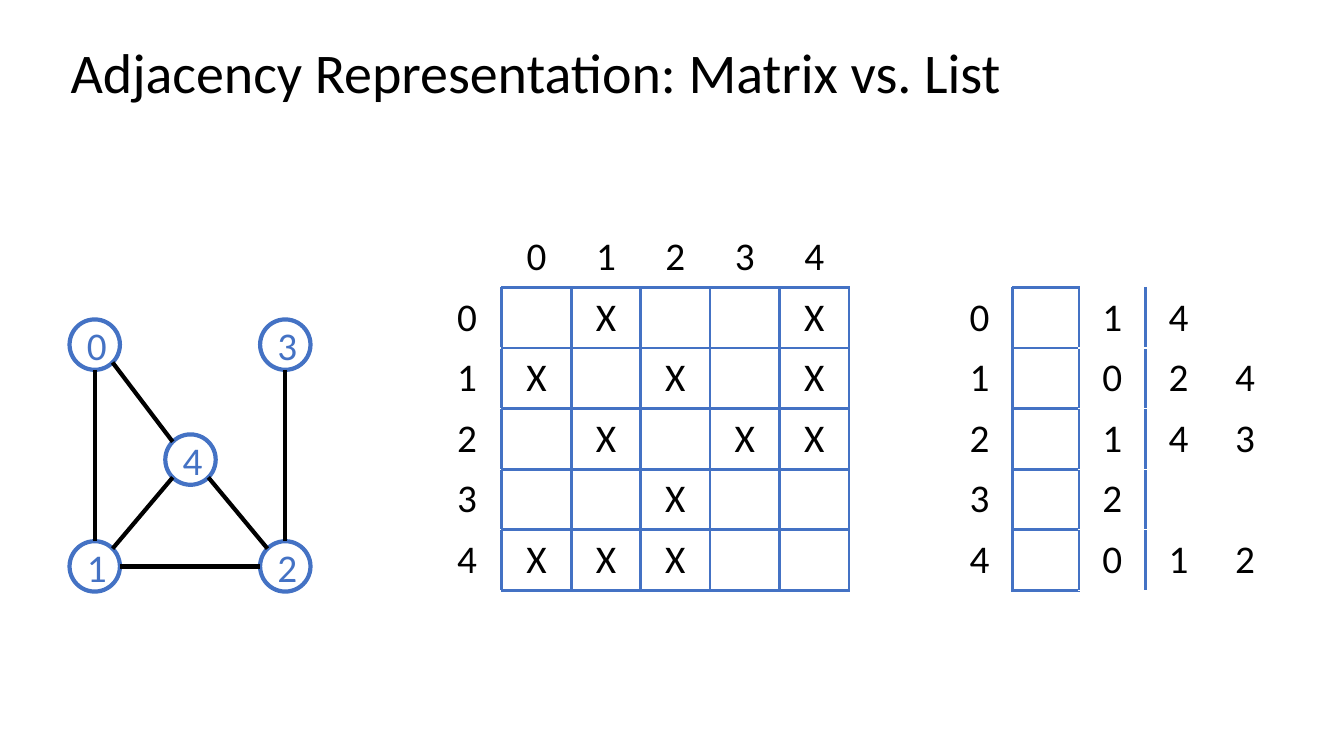
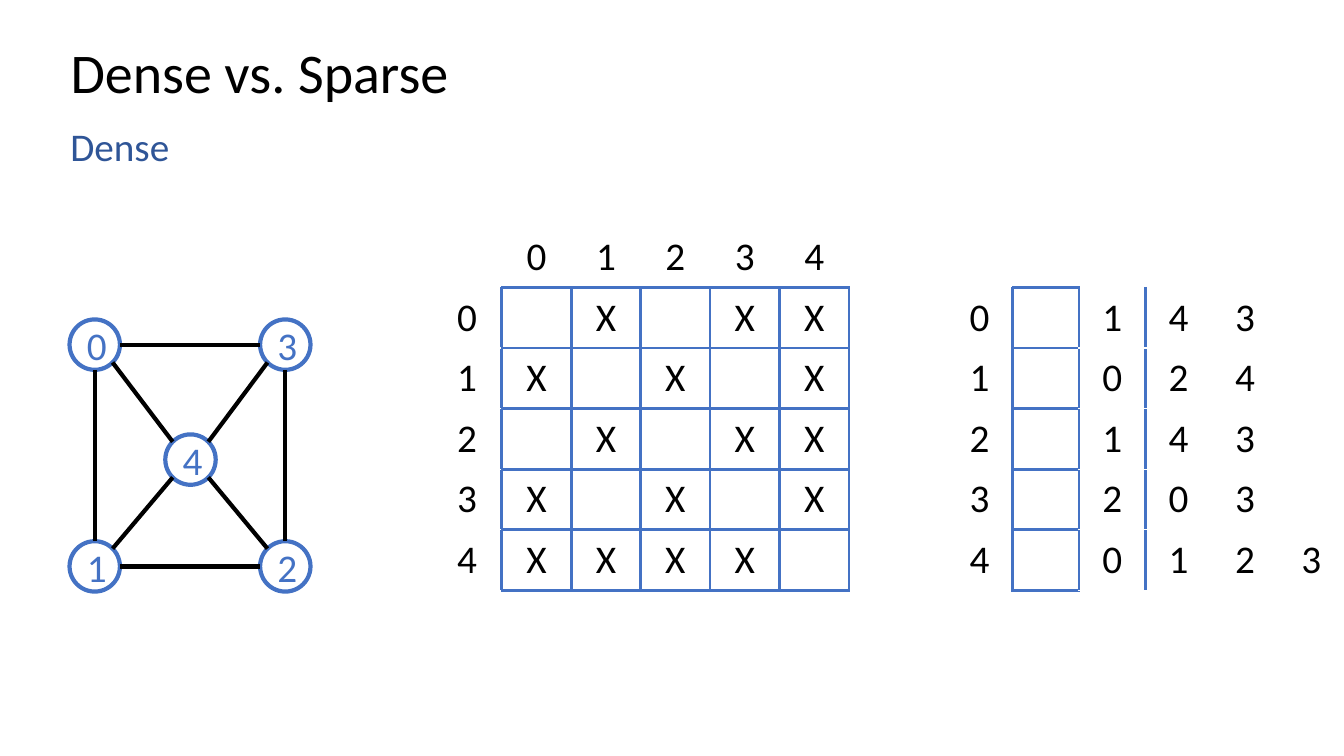
import math

from lxml import etree
from pptx import Presentation
from pptx import util as u
from pptx.dml import color
from pptx.enum import shapes, text
from pptx.oxml import ns

Pt = u.Pt
COLORS = {"ink": "000000", "paper": "FFFFFF", "blue": "4472C4", "navy": "2F5597"}
NODE_SIZE = 36
NODE_CENTERS = {
    0: (67.7, 246.2),
    3: (203.8, 246.2),
    4: (136.1, 328.3),
    1: (67.7, 404.6),
    2: (203.8, 404.6),
}
GRID_TOP, ROW_HEIGHT = 162, 43.3
MATRIX_LEFT, MATRIX_COLUMN = 308.9, 49.6
LIST_LEFT, LIST_COLUMN = 676, 47.4
SIDES = {"lnL": (0, -1), "lnR": (0, 1), "lnT": (-1, 0), "lnB": (1, 0)}

SPARSE_EDGES = [(0, 4), (0, 1), (1, 4), (2, 4), (1, 2), (3, 2)]
DENSE_EDGES = SPARSE_EDGES + [(0, 3), (3, 4)]
SPARSE_LISTS = ["14", "024", "143", "2", "012"]
DENSE_LISTS = ["143", "024", "143", "203", "0123"]


def sign(value):
    return (value > 0) - (value < 0)


class Deck:
    font = "Calibri"

    def __init__(self):
        self.prs = Presentation()
        self.prs.slide_width, self.prs.slide_height = Pt(960), Pt(540)
        self.slide = None

    def rgb(self, name):
        return color.RGBColor.from_string(COLORS[name])

    def add_words(self, frame, words, size=28, ink="ink", align=text.PP_ALIGN.CENTER, spacing=None):
        paragraph = frame.paragraphs[0]
        paragraph.alignment = align
        if spacing:
            paragraph.line_spacing = spacing
        run = paragraph.add_run()
        run.text = words
        run.font.name, run.font.size = self.font, Pt(size)
        run.font.color.rgb = self.rgb(ink)

    def new_slide(self, words):
        self.slide = self.prs.slides.add_slide(self.prs.slide_layouts[5])
        title = self.slide.shapes.title
        title.left, title.top, title.width, title.height = Pt(43.2), Pt(28.8), Pt(828), Pt(49.7)
        frame = title.text_frame
        frame.auto_size = text.MSO_AUTO_SIZE.NONE
        frame.vertical_anchor = text.MSO_ANCHOR.MIDDLE
        self.add_words(frame, words, 40, align=text.PP_ALIGN.LEFT, spacing=0.9)

    def subtitle(self, words):
        box = self.slide.shapes.add_textbox(Pt(43.2), Pt(87.8), Pt(828), Pt(36.7))
        box.text_frame.word_wrap = True
        self.add_words(box.text_frame, words, ink="navy", align=text.PP_ALIGN.LEFT, spacing=0.9)

    def node(self, label, center):
        left, top = (c - NODE_SIZE / 2 for c in center)
        circle = self.slide.shapes.add_shape(
            shapes.MSO_SHAPE.OVAL, Pt(left), Pt(top), Pt(NODE_SIZE), Pt(NODE_SIZE))
        circle.shadow.inherit = False
        circle.fill.solid()
        circle.fill.fore_color.rgb = self.rgb("paper")
        circle.line.color.rgb = self.rgb("blue")
        circle.line.width = Pt(3)
        circle.text_frame.vertical_anchor = text.MSO_ANCHOR.MIDDLE
        self.add_words(circle.text_frame, str(label), ink="blue")

    def edge(self, start, end):
        (x1, y1), (x2, y2) = start, end
        dx, dy = sign(x2 - x1), sign(y2 - y1)
        reach = NODE_SIZE / 2 / math.hypot(dx, dy)
        line = self.slide.shapes.add_connector(
            shapes.MSO_CONNECTOR.STRAIGHT,
            Pt(x1 + dx * reach), Pt(y1 + dy * reach),
            Pt(x2 - dx * reach), Pt(y2 - dy * reach))
        line.line.color.rgb = self.rgb("ink")
        line.line.width = Pt(3)
        etree.SubElement(line._element.spPr, ns.qn("a:effectLst"))

    def graph(self, edges):
        for label, center in NODE_CENTERS.items():
            self.node(label, center)
        for start, end in edges:
            self.edge(NODE_CENTERS[start], NODE_CENTERS[end])

    def border(self, cell, side):
        line = etree.SubElement(cell._tc.get_or_add_tcPr(), ns.qn("a:" + side), w=str(Pt(2.25)))
        fill = etree.SubElement(line, ns.qn("a:solidFill"))
        etree.SubElement(fill, ns.qn("a:srgbClr"), val=COLORS["blue"])

    def grid(self, left, column_width, rows, boxed):
        count = len(rows)
        table = self.slide.shapes.add_table(
            count, count, Pt(left), Pt(GRID_TOP),
            Pt(column_width * count), Pt(ROW_HEIGHT * count)).table
        table.first_row = table.horz_banding = False
        for column in table.columns:
            column.width = Pt(column_width)
        for r, row in enumerate(rows):
            table.rows[r].height = Pt(ROW_HEIGHT)
            for c in range(count):
                cell = table.cell(r, c)
                cell.vertical_anchor = text.MSO_ANCHOR.MIDDLE
                for side, (down, right) in SIDES.items():
                    if boxed(r, c) or boxed(r + down, c + right):
                        self.border(cell, side)
                cell.fill.background()
                if c < len(row) and row[c]:
                    self.add_words(cell.text_frame, row[c])

    def matrix(self, edges):
        labels = sorted(NODE_CENTERS)
        linked = set(edges) | {(b, a) for a, b in edges}
        rows = [[""] + [str(n) for n in labels]]
        rows += [[str(a)] + ["X" if (a, b) in linked else "" for b in labels] for a in labels]
        last = len(labels)
        self.grid(MATRIX_LEFT, MATRIX_COLUMN, rows,
                  lambda r, c: 1 <= r <= last and 1 <= c <= last)

    def adjacency_list(self, neighbours):
        rows = [[]] + [[str(n), "", *linked] for n, linked in enumerate(neighbours)]
        self.grid(LIST_LEFT, LIST_COLUMN, rows,
                  lambda r, c: 1 <= r <= len(neighbours) and c == 1)


def main():
    deck = Deck()
    for title, subtitle, edges, neighbours in [
        ("Adjacency Representation: Matrix vs. List", None, SPARSE_EDGES, SPARSE_LISTS),
        ("Dense vs. Sparse", "Dense", DENSE_EDGES, DENSE_LISTS),
    ]:
        deck.new_slide(title)
        if subtitle:
            deck.subtitle(subtitle)
        deck.graph(edges)
        deck.matrix(edges)
        deck.adjacency_list(neighbours)
    deck.prs.save("out.pptx")


if __name__ == "__main__":
    main()
